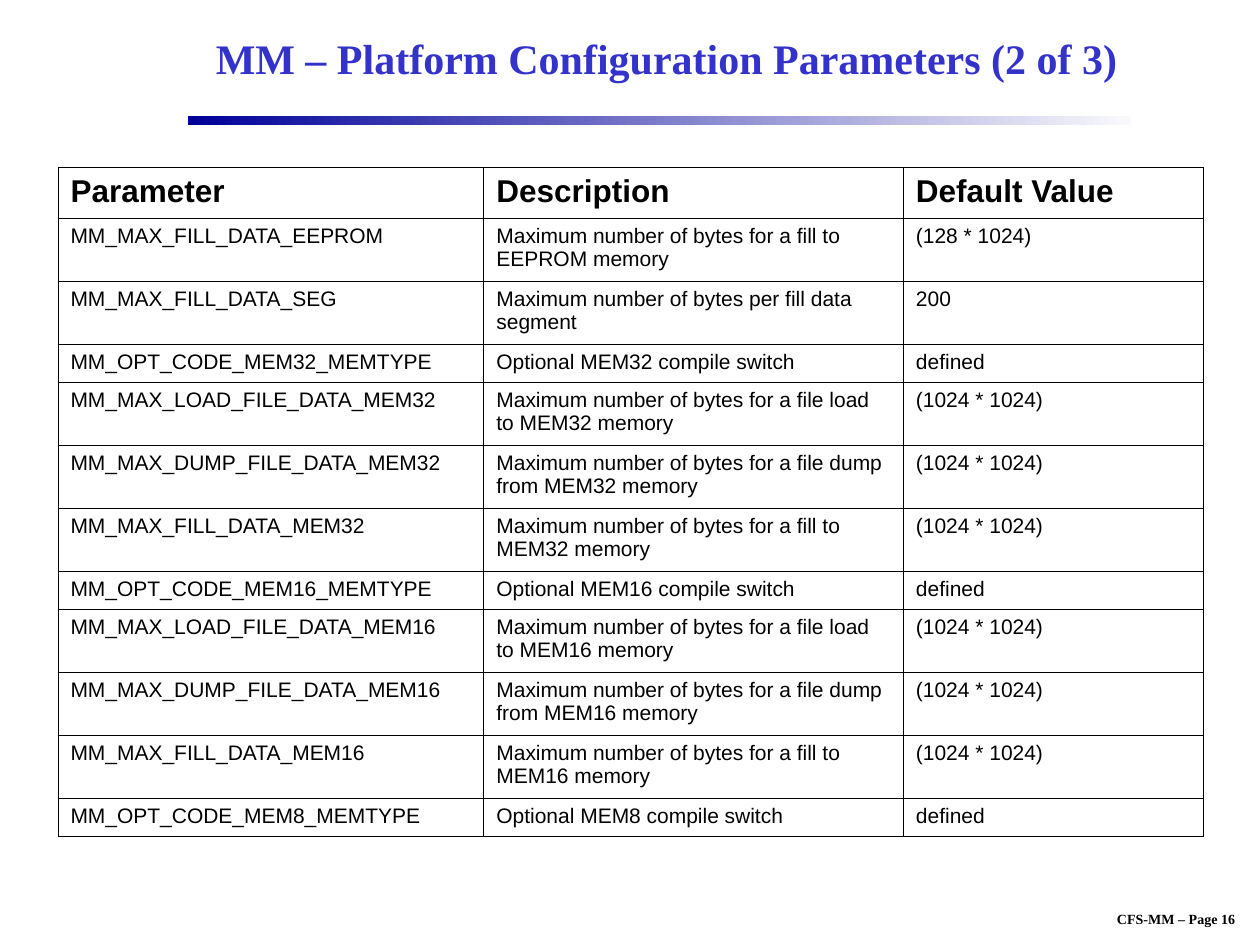
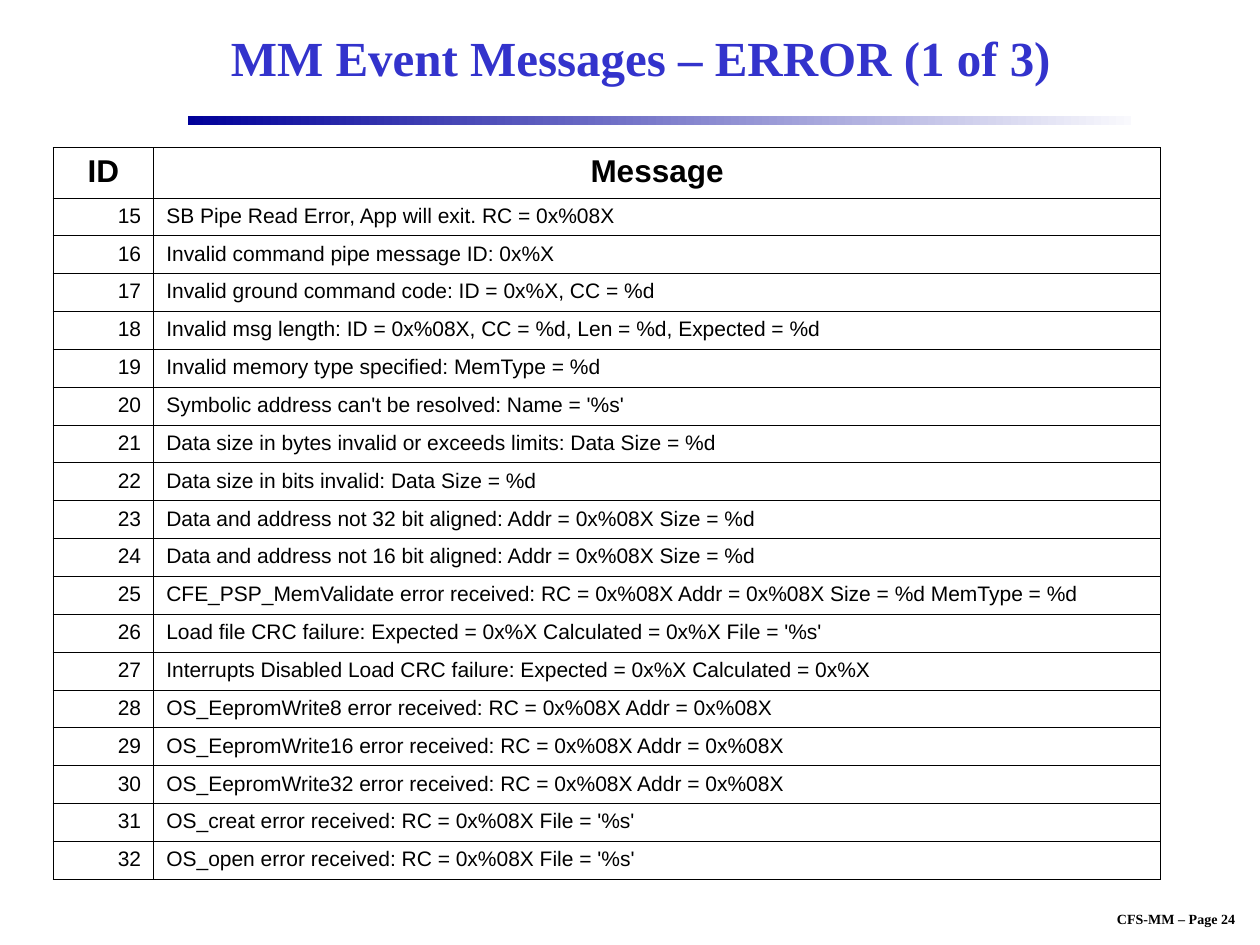
from lxml import etree
from pptx import Presentation
from pptx.dml.color import RGBColor
from pptx.enum import shapes, text
from pptx.oxml import ns
from pptx.util import Inches, Pt

COLORS = {"title": "3333CC", "ink": "000000", "bar_start": "000099", "bar_end": "F9F9FD"}
LEFT, CENTER, RIGHT = text.PP_ALIGN.LEFT, text.PP_ALIGN.CENTER, text.PP_ALIGN.RIGHT

parameters = [
    ("MM_MAX_FILL_DATA_EEPROM", "Maximum number of bytes for a fill to EEPROM memory", "(128 * 1024)"),
    ("MM_MAX_FILL_DATA_SEG", "Maximum number of bytes per fill data segment", "200"),
]
for memory in ("MEM32", "MEM16"):
    parameters += [
        (f"MM_OPT_CODE_{memory}_MEMTYPE", f"Optional {memory} compile switch", "defined"),
        (f"MM_MAX_LOAD_FILE_DATA_{memory}",
         f"Maximum number of bytes for a file load to {memory} memory", "(1024 * 1024)"),
        (f"MM_MAX_DUMP_FILE_DATA_{memory}",
         f"Maximum number of bytes for a file dump from {memory} memory", "(1024 * 1024)"),
        (f"MM_MAX_FILL_DATA_{memory}",
         f"Maximum number of bytes for a fill to {memory} memory", "(1024 * 1024)"),
    ]
parameters.append(("MM_OPT_CODE_MEM8_MEMTYPE", "Optional MEM8 compile switch", "defined"))

error_messages = [
    "SB Pipe Read Error, App will exit. RC = 0x%08X",
    "Invalid command pipe message ID: 0x%X",
    "Invalid ground command code: ID = 0x%X, CC = %d",
    "Invalid msg length: ID = 0x%08X, CC = %d, Len = %d, Expected = %d",
    "Invalid memory type specified: MemType = %d",
    "Symbolic address can't be resolved: Name = '%s'",
    "Data size in bytes invalid or exceeds limits: Data Size = %d",
    "Data size in bits invalid: Data Size = %d",
    "Data and address not 32 bit aligned: Addr = 0x%08X Size = %d",
    "Data and address not 16 bit aligned: Addr = 0x%08X Size = %d",
    "CFE_PSP_MemValidate error received: RC = 0x%08X Addr = 0x%08X Size = %d MemType = %d",
    "Load file CRC failure: Expected = 0x%X Calculated = 0x%X File = '%s'",
    "Interrupts Disabled Load CRC failure: Expected = 0x%X Calculated = 0x%X",
    "OS_EepromWrite8 error received: RC = 0x%08X Addr = 0x%08X",
    "OS_EepromWrite16 error received: RC = 0x%08X Addr = 0x%08X",
    "OS_EepromWrite32 error received: RC = 0x%08X Addr = 0x%08X",
    "OS_creat error received: RC = 0x%08X File = '%s'",
    "OS_open error received: RC = 0x%08X File = '%s'",
]

pages = [
    {
        "title": "MM – Platform Configuration Parameters (2 of 3)",
        "title_size": 24, "title_width": 7.58, "number": 16,
        "table_at": (0.46, 1.33), "columns": (3.38, 3.33, 2.38),
        "header": ("Parameter", "Description", "Default Value"),
        "header_align": LEFT, "body_align": (LEFT, LEFT, LEFT),
        "rows": parameters, "line_capacity": 40,
    },
    {
        "title": "MM Event Messages – ERROR (1 of 3)",
        "title_size": 28, "title_width": 7.17, "number": 24,
        "table_at": (0.42, 1.17), "columns": (0.8, 7.99),
        "header": ("ID", "Message"),
        "header_align": CENTER, "body_align": (RIGHT, LEFT),
        "rows": [(str(number), message) for number, message in enumerate(error_messages, 15)],
        "line_capacity": 100,
    },
]


def write(frame, words, size, font="Arial", color="ink", bold=False, align=LEFT):
    """Fill a text frame with one formatted paragraph."""
    frame.text = words
    para = frame.paragraphs[0]
    para.alignment = align
    span = para.runs[0]
    span.font.name = font
    span.font.size = Pt(size)
    span.font.bold = bold
    span.font.color.rgb = RGBColor.from_string(COLORS[color])


def outline_cell(cell):
    """Draw a thin line on all four sides of a cell and leave it unfilled."""
    properties = cell._tc.get_or_add_tcPr()
    for side in ("lnL", "lnR", "lnT", "lnB"):
        line = etree.SubElement(properties, ns.qn(f"a:{side}"), w=str(Pt(0.45)))
        fill = etree.SubElement(line, ns.qn("a:solidFill"))
        etree.SubElement(fill, ns.qn("a:srgbClr"), val=COLORS["ink"])
    cell.fill.background()


deck = Presentation()
deck.slide_width, deck.slide_height = Inches(10), Inches(7.5)

for content in pages:
    page = deck.slides.add_slide(deck.slide_layouts[6])

    footer = page.shapes.add_textbox(Inches(8.57), Inches(7.18), Inches(1.53), Inches(0.23))
    footer.text_frame.word_wrap = False
    write(footer.text_frame, f"CFS-MM – Page {content['number']}", 8,
          font="Times New Roman", bold=True, align=CENTER)

    bar = page.shapes.add_shape(shapes.MSO_SHAPE.RECTANGLE,
                                Inches(1.49), Inches(0.92), Inches(7.49), Inches(0.07))
    bar.shadow.inherit = False
    bar.line.fill.background()
    bar.fill.gradient()
    bar.fill.gradient_angle = 0
    for stop, color in zip(bar.fill.gradient_stops, ("bar_start", "bar_end")):
        stop.color.rgb = RGBColor.from_string(COLORS[color])

    title = page.shapes.add_textbox(Inches(1.5), Inches(0.08),
                                    Inches(content["title_width"]), Inches(0.75))
    title.text_frame.word_wrap = True
    title.text_frame.vertical_anchor = text.MSO_ANCHOR.MIDDLE
    write(title.text_frame, content["title"], content["title_size"],
          font="Times New Roman", color="title", bold=True, align=CENTER)

    left, top = content["table_at"]
    columns = content["columns"]
    rows = [content["header"], *content["rows"]]
    heights = [0.4] + [0.5 if len(row[1]) > content["line_capacity"] else 0.3
                       for row in content["rows"]]
    table = page.shapes.add_table(len(rows), len(columns), Inches(left), Inches(top),
                                  Inches(sum(columns)), Inches(sum(heights))).table
    table.horz_banding = False
    for column, width in zip(table.columns, columns):
        column.width = Inches(width)
    for row_index, (row, height) in enumerate(zip(rows, heights)):
        table.rows[row_index].height = Inches(height)
        is_header = row_index == 0
        for column_index, words in enumerate(row):
            cell = table.cell(row_index, column_index)
            align = content["header_align"] if is_header else content["body_align"][column_index]
            write(cell.text_frame, words, 18 if is_header else 12, bold=is_header, align=align)
            outline_cell(cell)

deck.save("out.pptx")
